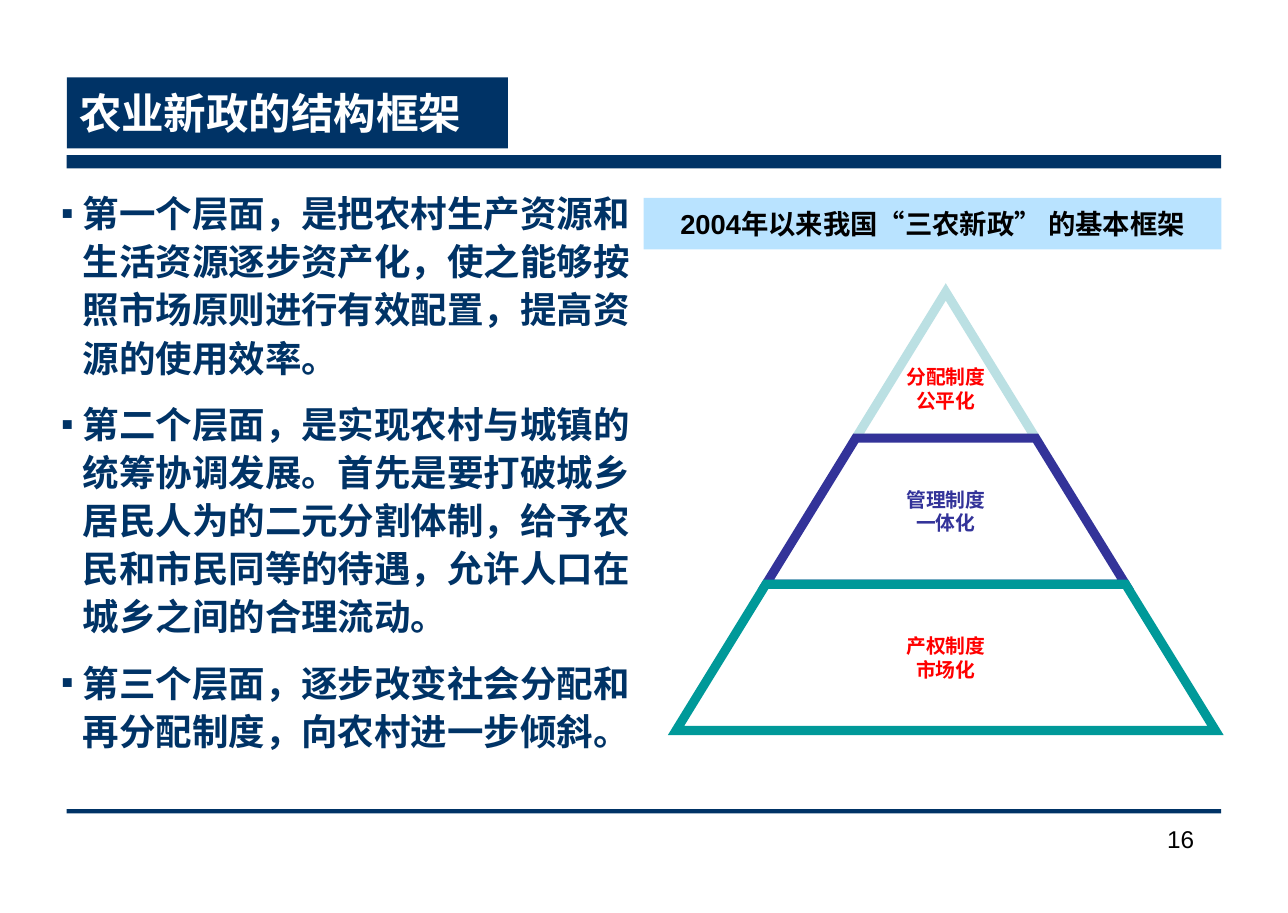
from dataclasses import dataclass

from lxml.etree import SubElement
from pptx import Presentation
from pptx.dml.color import RGBColor
from pptx.enum.shapes import MSO_SHAPE
from pptx.enum.text import MSO_ANCHOR, MSO_AUTO_SIZE, PP_ALIGN
from pptx.oxml.ns import qn
from pptx.util import Inches, Mm, Pt

WIDE, HIGH = Mm(299), Mm(212)
HUES = {
    "navy": "003366",
    "white": "FFFFFF",
    "black": "000000",
    "sky": "B9E3FF",
    "red": "FF0000",
    "mist": "BBE0E3",
    "violet": "333399",
    "teal": "009999",
}


@dataclass(frozen=True)
class Box:
    left: float
    top: float
    width: float
    height: float

    def place(self) -> tuple[int, int, int, int]:
        return across(self.left), down(self.top), across(self.width), down(self.height)


@dataclass(frozen=True)
class Style:
    size: float
    hue: str
    bold: bool = True
    align: PP_ALIGN = PP_ALIGN.CENTER


@dataclass(frozen=True)
class Tier:
    lines: list[str]
    edge: str
    ink: str
    drop: float = 0


APEX, PEAK, STEP, RISE = 73.43, 31.98, 6.98, 16.01
TIERS = [
    Tier(["分配制度", "公平化"], "mist", "red", 5.2),
    Tier(["管理制度", "一体化"], "violet", "violet"),
    Tier(["产权制度", "市场化"], "teal", "red"),
]
POINTS = [
    "第一个层面，是把农村生产资源和生活资源逐步资产化，使之能够按照市场原则进行有效配置，提高资源的使用效率。",
    "第二个层面，是实现农村与城镇的统筹协调发展。首先是要打破城乡居民人为的二元分割体制，给予农民和市民同等的待遇，允许人口在城乡之间的合理流动。",
    "第三个层面，逐步改变社会分配和再分配制度，向农村进一步倾斜。",
]


def across(share: float) -> int:
    return round(WIDE * share / 100)


def down(share: float) -> int:
    return round(HIGH * share / 100)


def tint(hue: str) -> RGBColor:
    return RGBColor.from_string(HUES[hue])


def paint(shape, hue: str) -> None:
    shape.shadow.inherit = False
    shape.fill.solid()
    shape.fill.fore_color.rgb = tint(hue)
    shape.line.fill.background()


def add_bar(slide, box: Box, hue: str):
    bar = slide.shapes.add_shape(MSO_SHAPE.RECTANGLE, *box.place())
    paint(bar, hue)
    return bar


def add_dot(para) -> None:
    props = para._p.get_or_add_pPr()
    props.set("marL", str(Inches(0.19)))
    props.set("indent", str(Inches(-0.19)))
    color = SubElement(props, qn("a:buClr"))
    SubElement(color, qn("a:srgbClr"), val=HUES["navy"])
    SubElement(props, qn("a:buSzPct"), val="50000")
    SubElement(props, qn("a:buFont"), typeface="Arial")
    SubElement(props, qn("a:buChar"), char="■")


def write(frame, lines: list[str], style: Style, wrap: bool = True,
          pad: tuple[float, float] = (0.11, 0.06), dots: bool = False) -> None:
    frame.auto_size = MSO_AUTO_SIZE.NONE
    frame.word_wrap = wrap
    frame.margin_left = frame.margin_right = Inches(pad[0])
    frame.margin_top = frame.margin_bottom = Inches(pad[1])
    for rank, line in enumerate(lines):
        para = frame.add_paragraph() if rank else frame.paragraphs[0]
        para.text = line
        para.alignment = style.align
        if dots:
            para.line_spacing = 1.1
            para.space_before = Pt(6 if rank else 0)
            para.space_after = Pt(6)
            add_dot(para)
        font = para.font
        font.name, font.size, font.bold = "Arial", Pt(style.size), style.bold
        font.color.rgb = tint(style.hue)


def add_tier(slide, rank: int, tier: Tier) -> None:
    top, base = PEAK + rank * RISE, PEAK + (rank + 1) * RISE
    near, far = rank * STEP, (rank + 1) * STEP
    spots = [(APEX - far, base), (APEX + far, base), (APEX + near, top), (APEX - near, top)]
    first, *rest = [(across(x), down(y)) for x, y in spots]
    path = slide.shapes.build_freeform(*first)
    path.add_line_segments(rest, close=True)
    shape = path.convert_to_shape()
    paint(shape, "white")
    shape.line.color.rgb = tint(tier.edge)
    shape.line.width = Pt(6)
    SubElement(shape.line._get_or_add_ln(), qn("a:miter"), lim="800000")
    frame = shape.text_frame
    write(frame, tier.lines, Style(13, tier.ink), wrap=False, pad=(0, 0))
    frame.vertical_anchor = MSO_ANCHOR.MIDDLE
    frame.margin_top = down(tier.drop)


def main() -> None:
    deck = Presentation()
    deck.slide_width, deck.slide_height = WIDE, HIGH
    slide = deck.slides.add_slide(deck.slide_layouts[5])
    shapes = slide.shapes

    add_bar(slide, Box(5.18, 17, 89.63, 1.44), "navy")
    add_bar(slide, Box(5.18, 88.62, 89.63, 0.48), "navy")

    title = shapes.title
    title.left, title.top, title.width, title.height = Box(5.2, 8.48, 34.24, 7.78).place()
    title.fill.solid()
    title.fill.fore_color.rgb = tint("navy")
    write(title.text_frame, ["农业新政的结构框架"], Style(28, "white", align=PP_ALIGN.LEFT))
    title.text_frame.vertical_anchor = MSO_ANCHOR.MIDDLE

    body = shapes.add_textbox(*Box(3.87, 19.76, 46.13, 65.03).place())
    write(body.text_frame, POINTS, Style(24, "navy", align=PP_ALIGN.LEFT), dots=True)

    for rank, tier in enumerate(TIERS):
        add_tier(slide, rank, tier)

    band = add_bar(slide, Box(49.98, 21.68, 44.86, 5.63), "sky")
    write(band.text_frame, ["2004年以来我国“三农新政” 的基本框架"], Style(18, "black"), wrap=False)
    band.text_frame.vertical_anchor = MSO_ANCHOR.MIDDLE

    folio = shapes.add_textbox(*Box(86.08, 89.55, 7.56, 6.95).place())
    write(folio.text_frame, ["16"], Style(16, "black", False, PP_ALIGN.RIGHT))

    deck.save("out.pptx")


if __name__ == "__main__":
    main()
